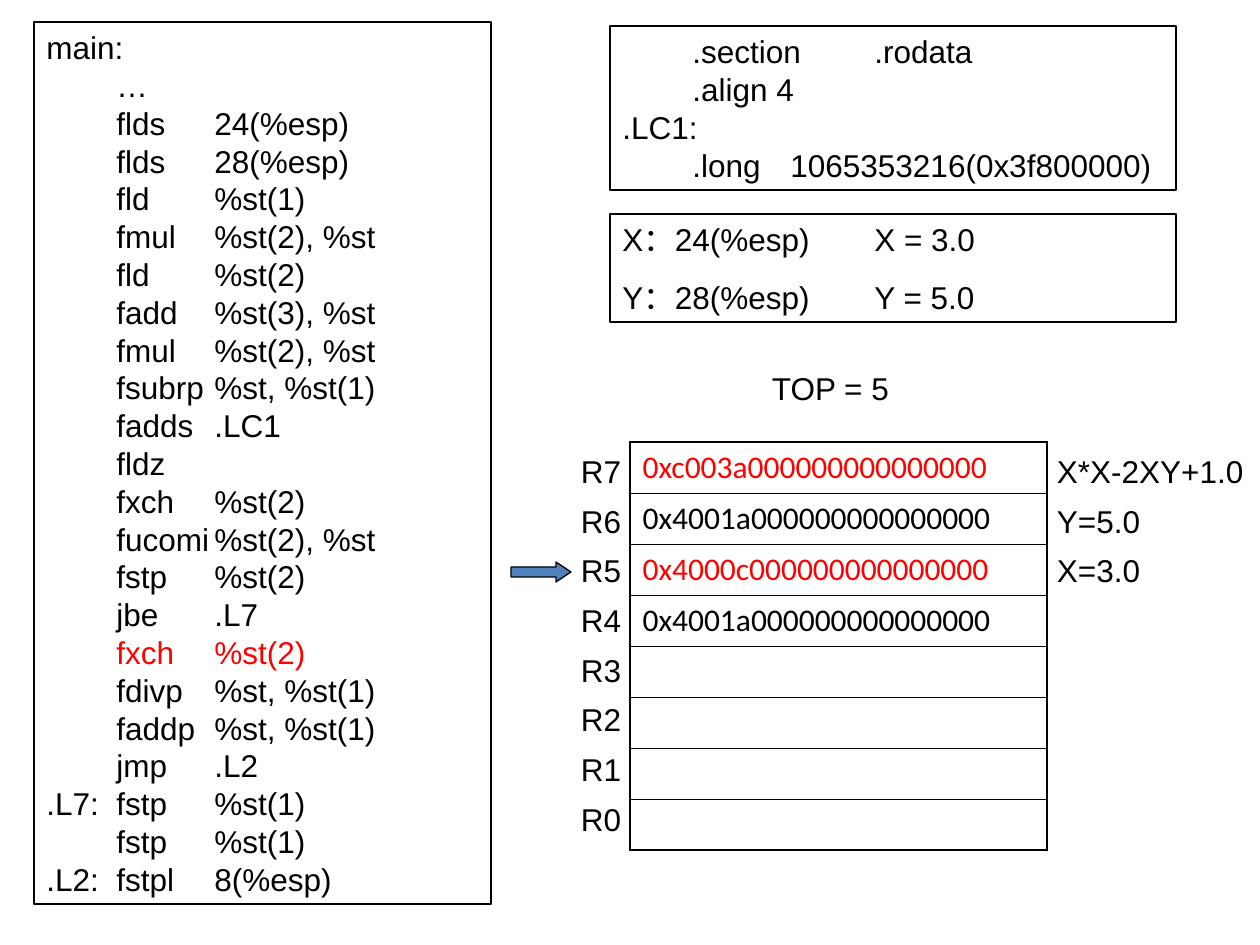
from dataclasses import dataclass
from lxml.etree import SubElement
from pptx import Presentation
from pptx.dml.color import RGBColor
from pptx.enum.shapes import MSO_SHAPE
from pptx.enum.text import MSO_ANCHOR, PP_ALIGN
from pptx.oxml.ns import qn
from pptx.slide import Slide
from pptx.util import Emu, Pt

BLACK, RED, BLUE = "000000", "FF0000", "4F81BD"


def px(num):
    return Emu(round(num * 914400 / 126))


def color(code):
    return RGBColor.from_string(code)


@dataclass
class Page:
    """Draw code boxes, labels, arrows and register tables in one style."""

    slide: Slide
    font: str = "Arial"
    size: int = 18
    stops: tuple = (70, 168, 252)

    def words(self, para, text, ink=BLACK, font=None):
        run = para.add_run()
        run.text = text
        run.font.name = font or self.font
        run.font.size = Pt(self.size)
        run.font.color.rgb = color(ink)

    def shape(self, kind, x, y, w, h, fill=None):
        item = self.slide.shapes.add_shape(kind, px(x), px(y), px(w), px(h))
        item.shadow.inherit = False
        item.line.color.rgb = color(BLACK)
        item.line.width = Pt(0.75)
        if fill:
            item.fill.solid()
            item.fill.fore_color.rgb = color(fill)
        else:
            item.fill.background()
        return item

    def box(self, x, y, w, h, lines, gap=0, hot=()):
        frame = self.shape(MSO_SHAPE.RECTANGLE, x, y, w, h).text_frame
        frame.word_wrap = True
        frame.vertical_anchor = MSO_ANCHOR.TOP
        for row, line in enumerate(lines):
            para = frame.add_paragraph() if row else frame.paragraphs[0]
            para.alignment = PP_ALIGN.LEFT
            para.space_before = Pt(gap)
            tabs = SubElement(para._p.get_or_add_pPr(), qn("a:tabLst"))
            for stop in self.stops:
                SubElement(tabs, qn("a:tab"), pos=str(px(stop)), algn="l")
            self.words(para, line, RED if row in hot else BLACK)

    def label(self, x, y, w, h, text, pad=(0, 0)):
        frame = self.slide.shapes.add_textbox(px(x), px(y), px(w), px(h)).text_frame
        frame.word_wrap = True
        frame.margin_left = frame.margin_right = px(pad[0])
        frame.margin_top = frame.margin_bottom = px(pad[1])
        self.words(frame.paragraphs[0], text)

    def edge(self, cell, side, width):
        line = SubElement(cell._tc.get_or_add_tcPr(), qn(f"a:ln{side}"), w=str(Pt(width)))
        fill = SubElement(line, qn("a:solidFill"))
        SubElement(fill, qn("a:srgbClr"), val=BLACK)

    def table(self, x, y, w, step, rows, thick=1.08, thin=0.45):
        count = len(rows)
        grid = self.slide.shapes.add_table(
            count, 1, px(x), px(y), px(w), px(step * count)).table
        grid.first_row = grid.horz_banding = False
        for row, (text, ink) in enumerate(rows):
            grid.rows[row].height = px(step)
            cell = grid.cell(row, 0)
            self.edge(cell, "L", thick)
            self.edge(cell, "R", thick)
            self.edge(cell, "T", thin if row else thick)
            self.edge(cell, "B", thin if row < count - 1 else thick)
            cell.fill.background()
            if text:
                self.words(cell.text_frame.paragraphs[0], text, ink, "Calibri")


CODE = [
    "main:",
    "\t…",
    "\tflds\t24(%esp)",
    "\tflds\t28(%esp)",
    "\tfld\t%st(1)",
    "\tfmul\t%st(2), %st",
    "\tfld\t%st(2)",
    "\tfadd\t%st(3), %st",
    "\tfmul\t%st(2), %st",
    "\tfsubrp\t%st, %st(1)",
    "\tfadds\t.LC1",
    "\tfldz",
    "\tfxch\t%st(2)",
    "\tfucomi\t%st(2), %st",
    "\tfstp\t%st(2)",
    "\tjbe\t.L7",
    "\tfxch\t%st(2)",
    "\tfdivp\t%st, %st(1)",
    "\tfaddp\t%st, %st(1)",
    "\tjmp\t.L2",
    ".L7:\tfstp\t%st(1)",
    "\tfstp\t%st(1)",
    ".L2:\tfstpl\t8(%esp)",
]
DATA = ["\t.section\t.rodata", "\t.align 4", ".LC1:", "\t.long\t1065353216(0x3f800000)"]
VARS = ["X：24(%esp)\tX = 3.0", "Y：28(%esp)\tY = 5.0"]
STACK = [
    ("0xc003a000000000000000", RED),
    ("0x4001a000000000000000", BLACK),
    ("0x4000c000000000000000", RED),
    ("0x4001a000000000000000", BLACK),
] + [("", BLACK)] * 4
NOTES = ["X*X-2XY+1.0", "Y=5.0", "X=3.0"]


def main():
    deck = Presentation()
    deck.slide_width, deck.slide_height = px(1260), px(945)
    page = Page(deck.slides.add_slide(deck.slide_layouts[6]))

    page.box(34, 22, 457, 882, CODE, hot=(CODE.index("\tjbe\t.L7") + 1,))
    page.box(610, 26, 566, 164, DATA)
    page.box(610, 214, 566, 108, VARS, gap=11.2)
    page.label(759, 363, 149, 50, "TOP = 5", pad=(13, 6))

    page.table(630, 442, 417, 51, STACK)
    for row in range(8):
        top = 452 + round(row * 49.7)
        page.label(581, top, 49, 38, f"R{7 - row}")
        if row < len(NOTES):
            page.label(1057, top, 203, 38, NOTES[row])

    arrow = page.shape(MSO_SHAPE.RIGHT_ARROW, 511, 562, 60, 20, BLUE)
    arrow.adjustments[1] = 0.75
    deck.save("out.pptx")


if __name__ == "__main__":
    main()
